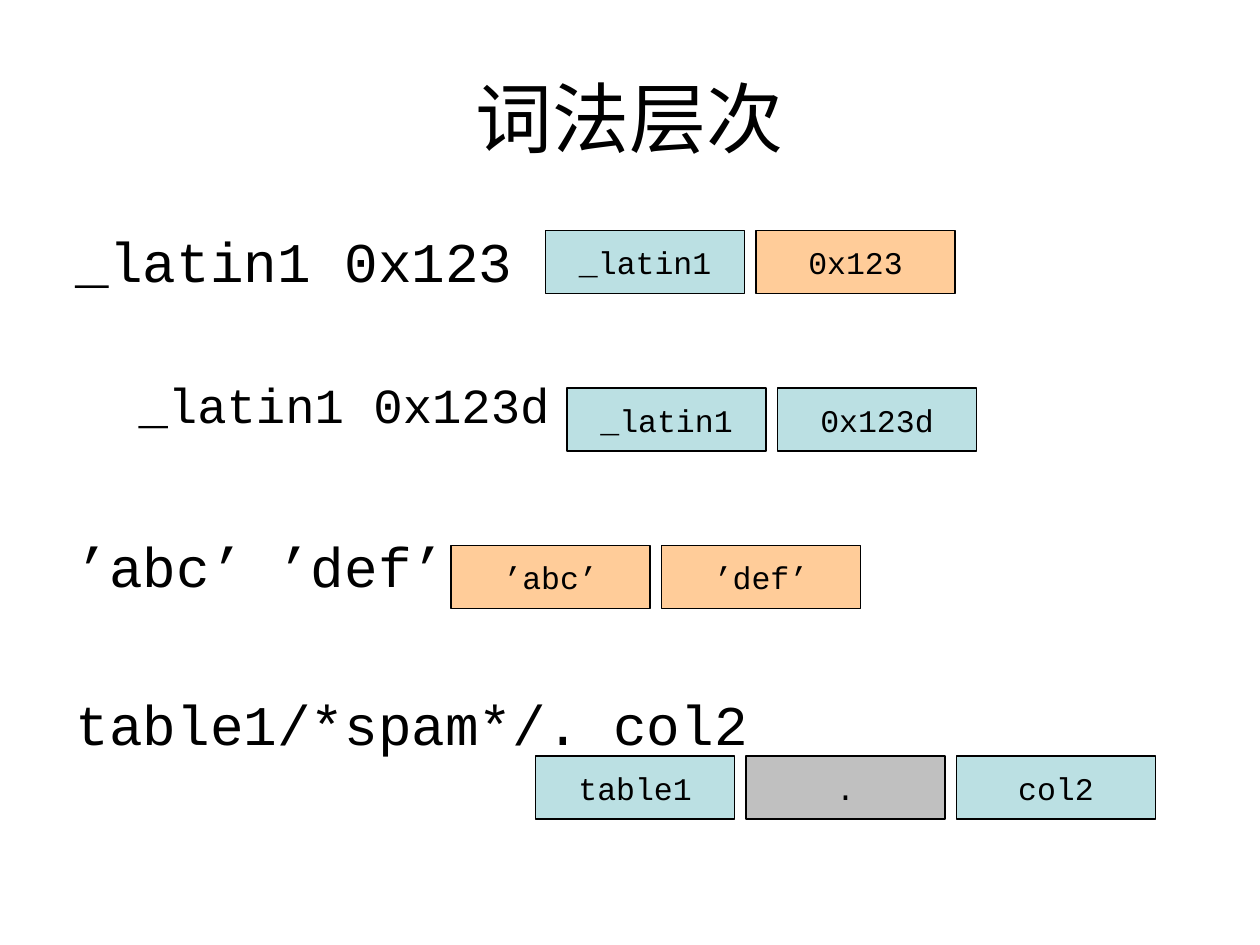
from pptx import Presentation
from pptx.dml.color import RGBColor
from pptx.enum.shapes import MSO_SHAPE
from pptx.enum.text import MSO_ANCHOR, MSO_AUTO_SIZE, PP_ALIGN
from pptx.oxml.ns import qn
from pptx.util import Inches, Pt

HUES = {"ink": "000000", "name": "BBE0E3", "value": "FFCC99", "mark": "C0C0C0"}
MONO = "Courier New"

# Code lines: text, level, size, space before
LINES = [
    ("_latin1 0x123", 0, 32, 0),
    ("_latin1 0x123d", 1, 28, 46),
    ("’abc’ ’def’", 0, 32, 56),
    ("table1/*spam*/. col2", 0, 32, 52),
]
# Margin and hanging indent for each level
DENTS = [(0.38, -0.38), (0.81, -0.31)]

# Token rows: left, top, tokens with their kind
ROWS = [
    (4.33, 1.83, [("_latin1", "name"), ("0x123", "value")]),
    (4.5, 3.08, [("_latin1", "name"), ("0x123d", "name")]),
    (3.58, 4.33, [("’abc’", "value"), ("’def’", "value")]),
    (4.25, 6, [("table1", "name"), (".", "mark"), ("col2", "name")]),
]
WIDE, HIGH, STEP = 1.58, 0.5, 1.67


def hue(key):
    return RGBColor.from_string(HUES[key])


def place(shape, box):
    shape.left, shape.top, shape.width, shape.height = map(Inches, box)


def write(para, text, size, face):
    run = para.add_run()
    run.text = text
    run.font.size = Pt(size)
    run.font.name = face
    run.font.color.rgb = hue("ink")


def add_title(slide, box):
    title = slide.shapes.title
    place(title, box)
    frame = title.text_frame
    frame.auto_size = MSO_AUTO_SIZE.NONE
    frame.vertical_anchor = MSO_ANCHOR.MIDDLE
    para = frame.paragraphs[0]
    para.alignment = PP_ALIGN.CENTER
    write(para, "词法层次", 44, "Arial")


def add_code(slide, box):
    body = slide.placeholders[1]
    place(body, box)
    frame = body.text_frame
    frame.auto_size = MSO_AUTO_SIZE.NONE
    for i, (text, level, size, gap) in enumerate(LINES):
        para = frame.add_paragraph() if i else frame.paragraphs[0]
        para.level = level
        para.space_before = Pt(gap)
        # Hanging indent without a bullet
        props = para._p.get_or_add_pPr()
        margin, dent = DENTS[level]
        props.set("marL", str(Inches(margin)))
        props.set("indent", str(Inches(dent)))
        props.append(props.makeelement(qn("a:buNone"), {}))
        write(para, text, size, MONO)


def add_token(slide, box, text, kind):
    cell = slide.shapes.add_shape(MSO_SHAPE.RECTANGLE, *map(Inches, box))
    cell.shadow.inherit = False
    cell.fill.solid()
    cell.fill.fore_color.rgb = hue(kind)
    cell.line.color.rgb = hue("ink")
    cell.line.width = Pt(0.75)
    frame = cell.text_frame
    frame.word_wrap = False
    frame.vertical_anchor = MSO_ANCHOR.MIDDLE
    para = frame.paragraphs[0]
    para.alignment = PP_ALIGN.CENTER
    write(para, text, 18, MONO)


def add_row(slide, left, top, tokens):
    for i, (text, kind) in enumerate(tokens):
        add_token(slide, (left + i * STEP, top, WIDE, HIGH), text, kind)


def main():
    deck = Presentation()
    deck.slide_width, deck.slide_height = Inches(10), Inches(7.5)
    slide = deck.slides.add_slide(deck.slide_layouts[1])
    add_title(slide, (0.5, 0.3, 9, 1.25))
    add_code(slide, (0.5, 1.75, 6.25, 4.95))
    for row in ROWS:
        add_row(slide, *row)
    deck.save("out.pptx")


if __name__ == "__main__":
    main()
